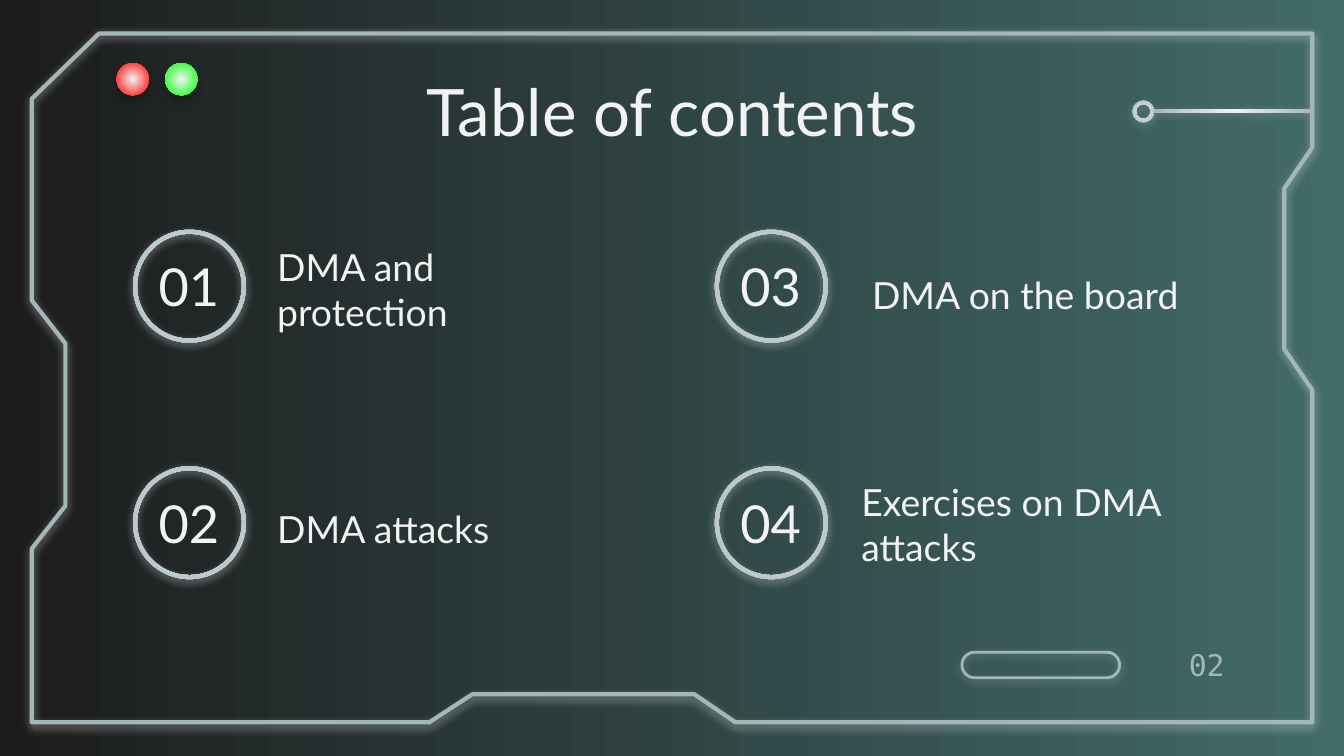
import pptx
import pptx.dml.color
import pptx.enum.shapes
import pptx.enum.text
import pptx.oxml
import pptx.oxml.ns
import pptx.util

Pt = pptx.util.Pt
RGBColor = pptx.dml.color.RGBColor
SHAPE = pptx.enum.shapes.MSO_SHAPE
ALIGN = pptx.enum.text.PP_ALIGN
ANCHOR = pptx.enum.text.MSO_ANCHOR

NIGHT = RGBColor(0x1C, 0x1C, 0x1C)
TEAL = RGBColor(0x42, 0x6B, 0x6A)
WHITE = RGBColor(0xF3, 0xF3, 0xF3)
STEEL = RGBColor(0xA3, 0xB7, 0xB9)
RED = RGBColor(0xFF, 0, 0)
GREEN = RGBColor(0, 0xFF, 0)
BLACK = RGBColor(0, 0, 0)

FRAME_POINTS = [
    (702.7, 386.6), (393.8, 386.6), (371.5, 371.5), (252.7, 371.5),
    (229.7, 386.6), (17.3, 386.6), (17.3, 294.5), (34.6, 271.4),
    (34.6, 184.3), (17.3, 161.3), (17.3, 52.6), (53.3, 18),
    (702.7, 18), (702.7, 79.2), (688.3, 100.8), (688.3, 187.2),
    (702.7, 208.8),
]
RING_LEFTS = (71.3, 383)
RING_TOPS = (123.1, 249.8)
RING_SIZE = 60.5
# Topics run down the first column, then the second: text, left, top
TOPICS = [
    ("DMA and protection", 141.4, 144.6),
    ("DMA attacks", 141.4, 260.8),
    ("DMA on the board", 460.1, 135.4),
    ("Exercises on DMA attacks", 454.3, 270.7),
]


def set_gradient(fill, start, end, radial=True):
    fill.gradient()
    fill.gradient_angle = 0
    for stop, color, position in zip(fill.gradient_stops, (start, end), (0, 1)):
        stop.color.rgb = color
        stop.position = position
    if radial:
        linear = fill._fill._gradFill.find(pptx.oxml.ns.qn("a:lin"))
        circle = pptx.oxml.parse_xml(
            f'<a:path {pptx.oxml.ns.nsdecls("a")} path="circle">'
            '<a:fillToRect l="50000" t="50000" r="50000" b="50000"/></a:path>')
        linear.getparent().replace(linear, circle)


def set_glow(shape, color, opacity=50, distance=1.5):
    """Give the shape a soft shadow straight below it."""
    shape.shadow.inherit = False
    effects = shape._element.spPr.find(pptx.oxml.ns.qn("a:effectLst"))
    effects.append(pptx.oxml.parse_xml(
        f'<a:outerShdw {pptx.oxml.ns.nsdecls("a")} blurRad="{Pt(4.5)}" '
        f'dist="{Pt(distance)}" dir="5400000" algn="bl" rotWithShape="0">'
        f'<a:srgbClr val="{color}"><a:alpha val="{opacity * 1000}"/></a:srgbClr>'
        '</a:outerShdw>'))


def add_filled(slide, kind, left, top, width, height, color, adjust=None):
    shape = slide.shapes.add_shape(kind, Pt(left), Pt(top), Pt(width), Pt(height))
    if adjust is not None:
        shape.adjustments[0] = adjust
    set_gradient(shape.fill, WHITE, color)
    shape.line.fill.background()
    return shape


def set_outline(shape, width, glow):
    shape.fill.background()
    shape.line.color.rgb = STEEL
    shape.line.width = Pt(width)
    set_glow(shape, glow)


def add_frame(slide):
    builder = slide.shapes.build_freeform(*FRAME_POINTS[0], scale=Pt(1))
    builder.add_line_segments(FRAME_POINTS[1:], close=True)
    set_outline(builder.convert_to_shape(), 2.25, WHITE)


def set_text(box, text, size, align=ALIGN.LEFT, anchor=ANCHOR.MIDDLE,
             color=WHITE, font="Lato", side_inset=7.2):
    frame = box.text_frame
    frame.text = text
    frame.word_wrap = True
    frame.auto_size = pptx.enum.text.MSO_AUTO_SIZE.NONE
    frame.vertical_anchor = anchor
    frame.margin_left = frame.margin_right = Pt(side_inset)
    frame.margin_top = frame.margin_bottom = Pt(7.2)
    paragraph = frame.paragraphs[0]
    paragraph.alignment = align
    run_font = paragraph.runs[0].font
    run_font.name = font
    run_font.size = Pt(size)
    run_font.color.rgb = color


def add_text(slide, text, left, top, width, height, size, **style):
    box = slide.shapes.add_textbox(Pt(left), Pt(top), Pt(width), Pt(height))
    set_text(box, text, size, **style)


def add_title(slide, text):
    title = slide.shapes.title
    title.left, title.top = Pt(56.7), Pt(42.5)
    title.width, title.height = Pt(607), Pt(33.8)
    set_text(title, text, 35, align=ALIGN.CENTER)


def add_topics(slide):
    for index, (topic, left, top) in enumerate(TOPICS):
        column, row = divmod(index, len(RING_TOPS))
        ring_left, ring_top = RING_LEFTS[column], RING_TOPS[row]
        # Narrow enough to break the longer topics over two lines
        add_text(slide, topic, left, top, 187, 41.5, 20, anchor=ANCHOR.BOTTOM)
        add_text(slide, f"{index + 1:02}", ring_left + 5, ring_top + 2.3,
                 49.7, 55.4, 28, align=ALIGN.CENTER, side_inset=0)
        ring = add_filled(slide, SHAPE.DONUT, ring_left, ring_top,
                          RING_SIZE, RING_SIZE, STEEL, 0.036)
        set_glow(ring, WHITE)


def add_lights(slide):
    for left, color in ((62.5, RED), (88.5, GREEN)):
        light = add_filled(slide, SHAPE.OVAL, left, 33.8, 17.3, 17.3, color)
        set_glow(light, BLACK, opacity=20, distance=3.8)


def add_antenna(slide):
    rod = add_filled(slide, SHAPE.RECTANGLE, 618, 58.6, 84.7, 1.8, STEEL)
    knob = add_filled(slide, SHAPE.DONUT, 606.8, 54, 11.5, 11.5, STEEL, 0.16)
    for part in (rod, knob):
        set_glow(part, STEEL)


def add_page_mark(slide):
    pill = slide.shapes.add_shape(SHAPE.ROUNDED_RECTANGLE, Pt(515.3), Pt(349.4),
                                  Pt(84.5), Pt(13.7))
    pill.adjustments[0] = 0.5
    set_outline(pill, 1.5, STEEL)
    add_text(slide, "02", 620, 349.4, 43.2, 13.7, 16, align=ALIGN.RIGHT,
             color=STEEL, font="DejaVu Sans Mono")


def main():
    deck = pptx.Presentation()
    deck.slide_width, deck.slide_height = Pt(720), Pt(405)
    slide = deck.slides.add_slide(deck.slide_layouts[5])
    set_gradient(slide.background.fill, NIGHT, TEAL, radial=False)
    add_frame(slide)
    add_title(slide, "Table of contents")
    add_topics(slide)
    add_page_mark(slide)
    add_lights(slide)
    add_antenna(slide)
    deck.save("out.pptx")


if __name__ == "__main__":
    main()
